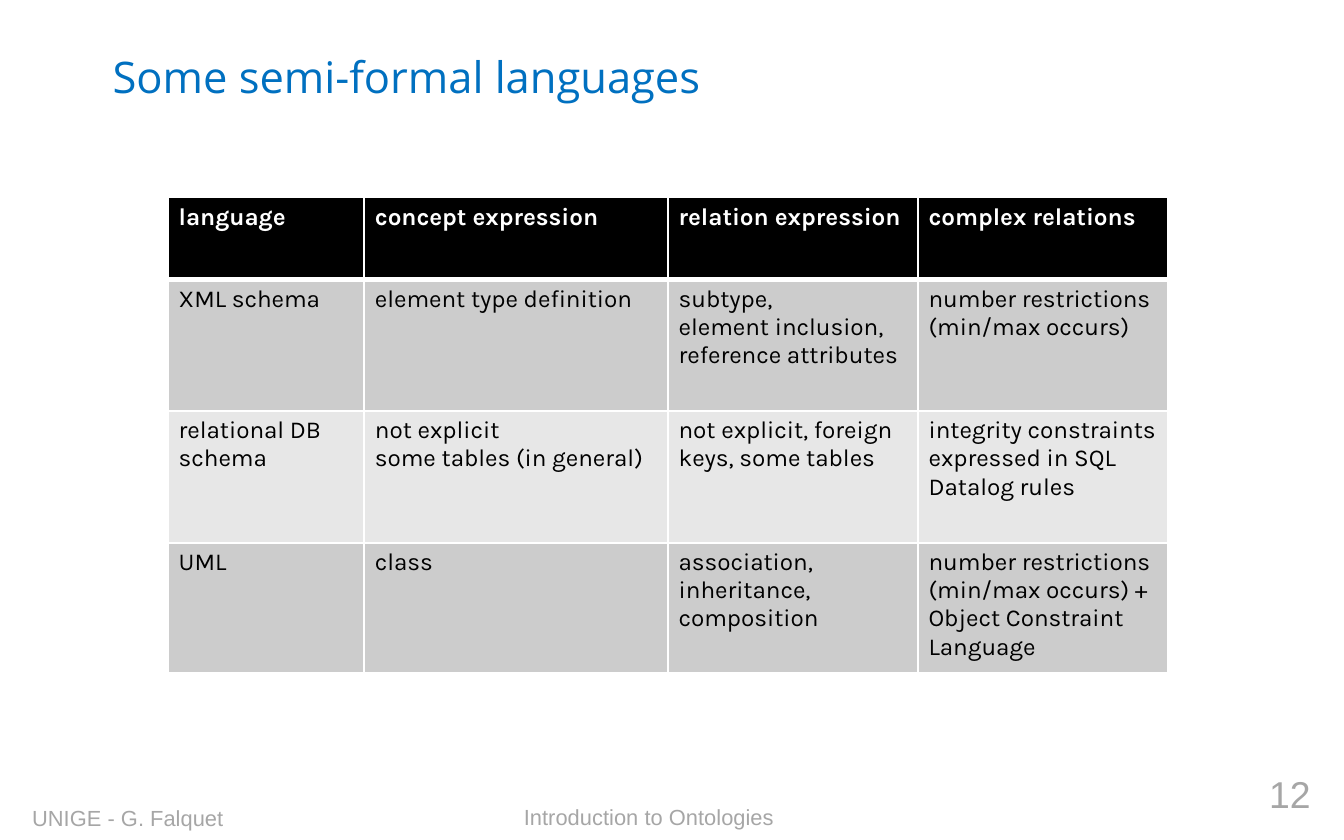
from lxml.etree import SubElement
from pptx import Presentation
from pptx.dml.color import RGBColor
from pptx.enum.shapes import MSO_SHAPE
from pptx.enum.text import MSO_ANCHOR, PP_ALIGN
from pptx.oxml.ns import qn
from pptx.util import Inches, Pt

WHITE = RGBColor(0xFF, 0xFF, 0xFF)
BLACK = RGBColor(0x00, 0x00, 0x00)
BLUE = RGBColor(0x00, 0x70, 0xC0)
FOOTER_GRAY = RGBColor(0xA6, 0xA6, 0xA6)
DARK_BAND = RGBColor(0xCC, 0xCC, 0xCC)
LIGHT_BAND = RGBColor(0xE7, 0xE7, 0xE7)

COLUMN_WIDTHS = [1.46, 2.26, 1.86, 1.86]
ROW_HEIGHTS = [0.61, 0.98, 0.98, 0.97]
LANGUAGES = [
    ["language", "concept expression", "relation expression", "complex relations"],
    ["XML schema", "element type definition",
     "subtype,\nelement inclusion,\nreference attributes",
     "number restrictions (min/max occurs)"],
    ["relational DB schema", "not explicit\nsome tables (in general)",
     "not explicit, foreign keys, some tables",
     "integrity constraints expressed in SQL\nDatalog rules"],
    ["UML", "class", "association, inheritance, composition",
     "number restrictions (min/max occurs) +\nObject Constraint Language"],
]


class SlideBuilder:
    title_font = "Open Sans"
    footer_font = "Arial"
    table_font = "Karla"

    def __init__(self, slide):
        self.slide = slide

    def set_text(self, frame, text, font, size, color, bold=False, align=PP_ALIGN.LEFT):
        frame.word_wrap = True
        frame.text = text
        for paragraph in frame.paragraphs:
            paragraph.alignment = align
            for run in paragraph.runs:
                run.font.name = font
                run.font.size = Pt(size)
                run.font.bold = bold
                run.font.color.rgb = color

    def title(self, text, left, top, width, height):
        shape = self.slide.shapes.add_shape(
            MSO_SHAPE.RECTANGLE, Inches(left), Inches(top), Inches(width), Inches(height))
        shape.shadow.inherit = False
        shape.fill.solid()
        shape.fill.fore_color.rgb = WHITE
        shape.line.fill.background()
        shape.text_frame.vertical_anchor = MSO_ANCHOR.MIDDLE
        self.set_text(shape.text_frame, text, self.title_font, 23.3, BLUE)

    def footer(self, text, left, top, width, height, size=11.7, align=PP_ALIGN.LEFT):
        box = self.slide.shapes.add_textbox(
            Inches(left), Inches(top), Inches(width), Inches(height))
        self.set_text(box.text_frame, text, self.footer_font, size, FOOTER_GRAY, align=align)

    def border(self, cell, side, points):
        """Draw a white line on one side of a cell: L, R, T or B."""
        properties = cell._tc.get_or_add_tcPr()
        line = SubElement(properties, qn(f"a:ln{side}"), w=str(Pt(points)))
        fill = SubElement(line, qn("a:solidFill"))
        SubElement(fill, qn("a:srgbClr"), val=str(WHITE))

    def cell(self, cell, text, row):
        header = row == 0
        cell.margin_left = cell.margin_right = Inches(0.08)
        cell.margin_top = cell.margin_bottom = Inches(0.04)
        for side in "LRTB":
            at_header_edge = (row, side) in ((0, "B"), (1, "T"))
            self.border(cell, side, 3 if at_header_edge else 1)
        cell.fill.solid()
        band = DARK_BAND if row % 2 else LIGHT_BAND
        cell.fill.fore_color.rgb = BLACK if header else band
        self.set_text(cell.text_frame, text, self.table_font, 13,
                      WHITE if header else BLACK, bold=header)

    def table(self, rows, left, top, widths, heights):
        table = self.slide.shapes.add_table(
            len(heights), len(widths), Inches(left), Inches(top),
            Inches(sum(widths)), Inches(sum(heights))).table
        for column, width in zip(table.columns, widths):
            column.width = Inches(width)
        for index, (row, height) in enumerate(zip(table.rows, heights)):
            row.height = Inches(height)
            for cell, text in zip(row.cells, rows[index]):
                self.cell(cell, text, index)


def main():
    presentation = Presentation()
    presentation.slide_width = Inches(10)
    presentation.slide_height = Inches(6.25)
    slide = presentation.slides.add_slide(presentation.slide_layouts[6])

    builder = SlideBuilder(slide)
    builder.title("Some semi-formal languages", 0.74, 0.12, 8.69, 0.9)
    builder.footer("Introduction to Ontologies", 3.8, 5.93, 3.83, 0.32)
    builder.footer("UNIGE - G. Falquet", 0.14, 5.94, 3.17, 0.31)
    builder.footer("12", 7.77, 5.69, 2.08, 0.42, size=20, align=PP_ALIGN.RIGHT)
    builder.table(LANGUAGES, 1.25, 1.47, COLUMN_WIDTHS, ROW_HEIGHTS)
    presentation.save("out.pptx")


if __name__ == "__main__":
    main()
